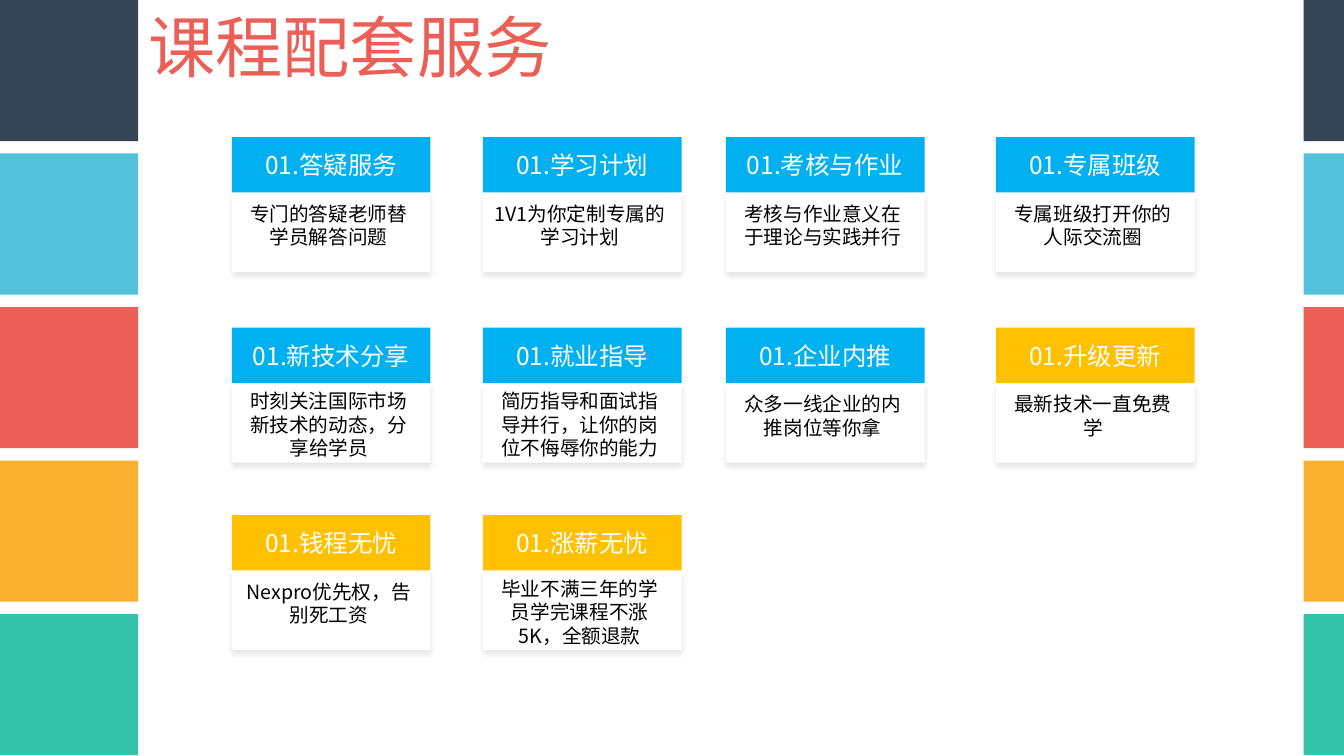
from lxml.etree import SubElement
from pptx import Presentation
from pptx.dml.color import RGBColor
from pptx.enum.shapes import MSO_SHAPE
from pptx.enum.text import MSO_ANCHOR, MSO_AUTO_SIZE, PP_ALIGN
from pptx.oxml.ns import qn
from pptx.util import Inches, Pt

FONT = "Noto Sans CJK SC"
NAVY = RGBColor(0x36, 0x45, 0x55)
SKY = RGBColor(0x52, 0xC2, 0xDC)
RED = RGBColor(0xEB, 0x5F, 0x56)
AMBER = RGBColor(0xFC, 0xB0, 0x30)
TEAL = RGBColor(0x33, 0xC3, 0xAB)
BLUE = RGBColor(0x00, 0xB0, 0xF0)
GOLD = RGBColor(0xFF, 0xC0, 0x00)
WHITE = RGBColor(0xFF, 0xFF, 0xFF)
BLACK = RGBColor(0x00, 0x00, 0x00)

TITLE = "课程配套服务"
BANDS = [NAVY, SKY, RED, AMBER, TEAL]
SIDES = [(0, 1.37), (12.93, 0.4)]
CARDS = [
    ("01.答疑服务", "专门的答疑老师替学员解答问题", BLUE),
    ("01.学习计划", "1V1为你定制专属的学习计划", BLUE),
    ("01.考核与作业", "考核与作业意义在于理论与实践并行", BLUE),
    ("01.专属班级", "专属班级打开你的人际交流圈", BLUE),
    ("01.新技术分享", "时刻关注国际市场新技术的动态，分享给学员", BLUE),
    ("01.就业指导", "简历指导和面试指导并行，让你的岗位不侮辱你的能力", BLUE),
    ("01.企业内推", "众多一线企业的内推岗位等你拿", BLUE),
    ("01.升级更新", "最新技术一直免费学", GOLD),
    ("01.钱程无忧", "Nexpro优先权，告别死工资", GOLD),
    ("01.涨薪无忧", "毕业不满三年的学员学完课程不涨5K，全额退款", GOLD),
]
COLS = [2.3, 4.79, 7.2, 9.88]
ROWS = [1.36, 3.25, 5.11]
BAND_H, BAND_STEP = 1.4, 1.523
CARD_W, HEAD_H, BODY_H = 1.97, 0.55, 0.79
NOTE_W, LONG = 1.92, 16


def add_rect(slide, left, top, width, height, color):
    """Add a plain filled rectangle."""
    rect = slide.shapes.add_shape(
        MSO_SHAPE.RECTANGLE, Inches(left), Inches(top), Inches(width), Inches(height))
    rect.shadow.inherit = False
    rect.fill.solid()
    rect.fill.fore_color.rgb = color
    rect.line.fill.background()
    return rect


def add_shade(shape):
    """Give a shape a faint shadow below it."""
    effects = shape.element.spPr.find(qn("a:effectLst"))
    shade = SubElement(effects, qn("a:outerShdw"), blurRad=str(Pt(4)),
                       dist=str(Pt(3)), dir="5400000", algn="t", rotWithShape="0")
    color = SubElement(shade, qn("a:srgbClr"), val=str(BLACK))
    SubElement(color, qn("a:alpha"), val="9000")


def write(frame, text, size, color, align):
    """Write one styled run into a text frame."""
    para = frame.paragraphs[0]
    para.alignment = align
    run = para.add_run()
    run.text = text
    run.font.size = Pt(size)
    run.font.name = FONT
    run.font.color.rgb = color
    SubElement(run.font._element, qn("a:ea"), typeface=FONT)


def add_card(slide, left, top, head, note, color):
    """Add a heading bar over a shaded body with a note."""
    add_shade(add_rect(slide, left, top + HEAD_H, CARD_W, BODY_H, WHITE))
    bar = add_rect(slide, left, top, CARD_W, HEAD_H, color).text_frame
    bar.word_wrap = True
    bar.vertical_anchor = MSO_ANCHOR.MIDDLE
    write(bar, head, 17.5, WHITE, PP_ALIGN.CENTER)
    drop, height = (0.56, 0.81) if len(note) > LONG else (0.59, 0.57)
    box = slide.shapes.add_textbox(
        Inches(left), Inches(top + drop), Inches(NOTE_W), Inches(height)).text_frame
    box.word_wrap = True
    box.auto_size = MSO_AUTO_SIZE.SHAPE_TO_FIT_TEXT
    write(box, note, 14, BLACK, PP_ALIGN.CENTER)


def add_title(slide):
    """Place and fill the title."""
    title = slide.shapes.title
    title.left, title.top = Inches(1.37), Inches(0)
    title.width, title.height = Inches(4.24), Inches(0.91)
    frame = title.text_frame
    frame.word_wrap = False
    frame.auto_size = MSO_AUTO_SIZE.SHAPE_TO_FIT_TEXT
    frame.vertical_anchor = MSO_ANCHOR.TOP
    write(frame, TITLE, 48, RED, PP_ALIGN.LEFT)


def main():
    """Build the slide and save it."""
    deck = Presentation()
    deck.slide_width, deck.slide_height = Inches(13.33), Inches(7.5)
    slide = deck.slides.add_slide(deck.slide_layouts[5])
    for left, width in SIDES:
        for i, color in enumerate(BANDS):
            add_rect(slide, left, i * BAND_STEP, width, BAND_H, color)
    add_title(slide)
    for i, card in enumerate(CARDS):
        row, col = divmod(i, len(COLS))
        add_card(slide, COLS[col], ROWS[row], *card)
    deck.save("out.pptx")


if __name__ == "__main__":
    main()
